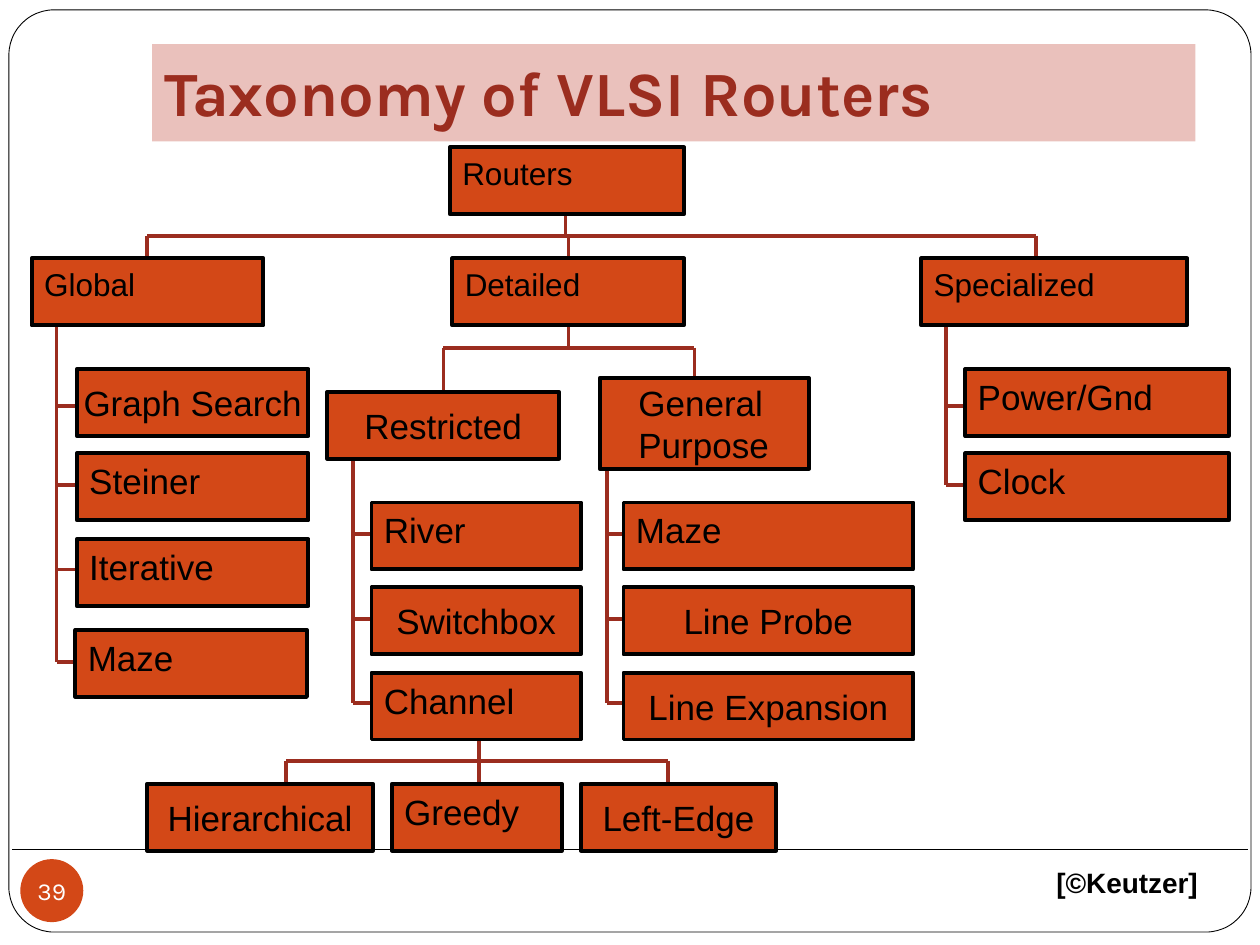
from itertools import pairwise

from lxml import etree
from pptx import Presentation
from pptx.dml.color import RGBColor
from pptx.enum.shapes import MSO_CONNECTOR, MSO_SHAPE
from pptx.enum.text import MSO_ANCHOR, PP_ALIGN
from pptx.oxml.ns import qn
from pptx.util import Cm, Pt

RECT, ROUND, OVAL = MSO_SHAPE.RECTANGLE, MSO_SHAPE.ROUNDED_RECTANGLE, MSO_SHAPE.OVAL
STRAIGHT = MSO_CONNECTOR.STRAIGHT
TOP, MIDDLE, BOTTOM = MSO_ANCHOR.TOP, MSO_ANCHOR.MIDDLE, MSO_ANCHOR.BOTTOM
LEFT, CENTER, RIGHT = PP_ALIGN.LEFT, PP_ALIGN.CENTER, PP_ALIGN.RIGHT
ORANGE, RED, PINK, BLACK, WHITE = "D34817", "9B2D1F", "EAC1BC", "000000", "FFFFFF"
PADDED = (0.25, 0.13, 0.25, 0.13)
TIGHT = (0, 0, 0, 0)
BOX_H = 1.35

prs = Presentation()
prs.slide_width, prs.slide_height = Cm(25.4), Cm(19.05)
s = prs.slides.add_slide(prs.slide_layouts[6])


def add_box(text, x, y, w, h=BOX_H, shape=RECT, fill=ORANGE, line=None, line_w=2.25,
            size=20, font="Arial", color=BLACK, bold=False, align=LEFT,
            anchor=TOP, insets=PADDED, wrap=True):
    sp = s.shapes.add_shape(shape, Cm(x), Cm(y), Cm(w), Cm(h))
    sp.shadow.inherit = False
    if fill:
        sp.fill.solid()
        sp.fill.fore_color.rgb = RGBColor.from_string(fill)
    else:
        sp.fill.background()
    if line:
        sp.line.color.rgb = RGBColor.from_string(line)
        sp.line.width = Pt(line_w)
    else:
        sp.line.fill.background()
    if text:
        tf = sp.text_frame
        tf.word_wrap = wrap
        tf.vertical_anchor = anchor
        tf.margin_left, tf.margin_top, tf.margin_right, tf.margin_bottom = map(Cm, insets)
        p = tf.paragraphs[0]
        p.alignment = align
        r = p.add_run()
        r.text = text
        r.font.size, r.font.name, r.font.bold = Pt(size), font, bold
        r.font.color.rgb = RGBColor.from_string(color)
    return sp


def add_line(x1, y1, x2, y2, color=RED, width=2.25):
    c = s.shapes.add_connector(STRAIGHT, Cm(x1), Cm(y1), Cm(x2), Cm(y2))
    c.line.color.rgb = RGBColor.from_string(color)
    c.line.width = Pt(width)
    etree.SubElement(c.element.spPr, qn("a:effectLst"))


frame = add_box("", 0.18, 0.2, 25.04, 18.59, shape=ROUND, fill=WHITE, line=BLACK, line_w=0.5)
frame.adjustments[0] = 0.049
add_line(0.25, 17.12, 25.15, 17.12, color=BLACK, width=0.75)
add_box("Taxonomy of VLSI Routers", 3.07, 0.89, 21.03, 1.96, fill=PINK, size=36, font="Karla",
        color=RED, bold=True, anchor=BOTTOM, insets=(0.25, 0.13, 0.25, 0.25))
add_box("[©Keutzer]", 21.31, 17.45, 2.84, 0.69, fill=None, size=16, bold=True,
        align=RIGHT, insets=TIGHT, wrap=False)

branches = [
    (11.4, 4.32, 4.75, 5.21, [2.97, 11.46, 20.88]),
    (11.46, 6.55, 7.01, 7.9, [8.94, 14]),
    (9.65, 14.91, 15.34, 15.8, [5.77, 9.65, 13.46]),
]
for x, top, bus, bottom, children in branches:
    add_line(x, top, x, bus)
    for child in children:
        add_line(child, bus, child, bottom)
        if child != x:
            add_line(x, bus, child, bus)

trunks = [
    (1.14, 6.55, 1.57, [8.18, 9.78, 11.48, 13.34]),
    (7.11, 9.25, 7.49, [10.77, 12.47, 14.17]),
    (12.24, 9.25, 12.57, [10.77, 12.47, 14.17]),
    (19.08, 6.55, 19.48, [8.18, 9.78]),
]
for x, top, end, levels in trunks:
    for y1, y2 in pairwise([top] + levels):
        add_line(x, y1, x, y2)
        add_line(x, y2, end, y2)

for text, x, y, w in [
    ("Routers", 9.07, 2.97, 4.72),
    ("Global", 0.64, 5.21, 4.67),
    ("Detailed", 9.12, 5.21, 4.67),
    ("Specialized", 18.57, 5.21, 5.36),
]:
    add_box(text, x, y, w, line=BLACK, size=18)

for text, x, y, w in [
    ("Steiner", 1.55, 9.14, 4.67),
    ("Iterative", 1.55, 10.87, 4.67),
    ("Maze", 1.52, 12.7, 4.67),
    ("River", 7.49, 10.13, 4.22),
    ("Channel", 7.49, 13.56, 4.22),
    ("Maze", 12.57, 10.13, 5.84),
    ("Greedy", 7.9, 15.8, 3.43),
    ("Power/Gnd", 19.46, 7.44, 5.31),
    ("Clock", 19.46, 9.14, 5.31),
]:
    add_box(text, x, y, w, line=BLACK)

for text, x, y, w in [
    ("Graph Search", 1.55, 7.44, 4.67),
    ("Restricted", 6.6, 7.9, 4.67),
    ("Switchbox", 7.49, 11.84, 4.22),
    ("Line Probe", 12.57, 11.84, 5.84),
    ("Line Expansion", 12.57, 13.56, 5.84),
    ("Hierarchical", 2.97, 15.8, 4.55),
    ("Left-Edge", 11.71, 15.8, 3.94),
]:
    add_box(text, x, y, w, line=BLACK, align=CENTER, anchor=MIDDLE, insets=TIGHT)

add_box("General Purpose", 12.09, 7.62, 4.22, 1.83, line=BLACK, anchor=MIDDLE,
        insets=(0.78, 0, 0, 0))
add_box("39", 0.41, 17.32, 1.27, 1.27, shape=OVAL, size=14, font="Karla", color=WHITE,
        align=CENTER, anchor=MIDDLE, insets=TIGHT, wrap=False)

prs.save("out.pptx")
